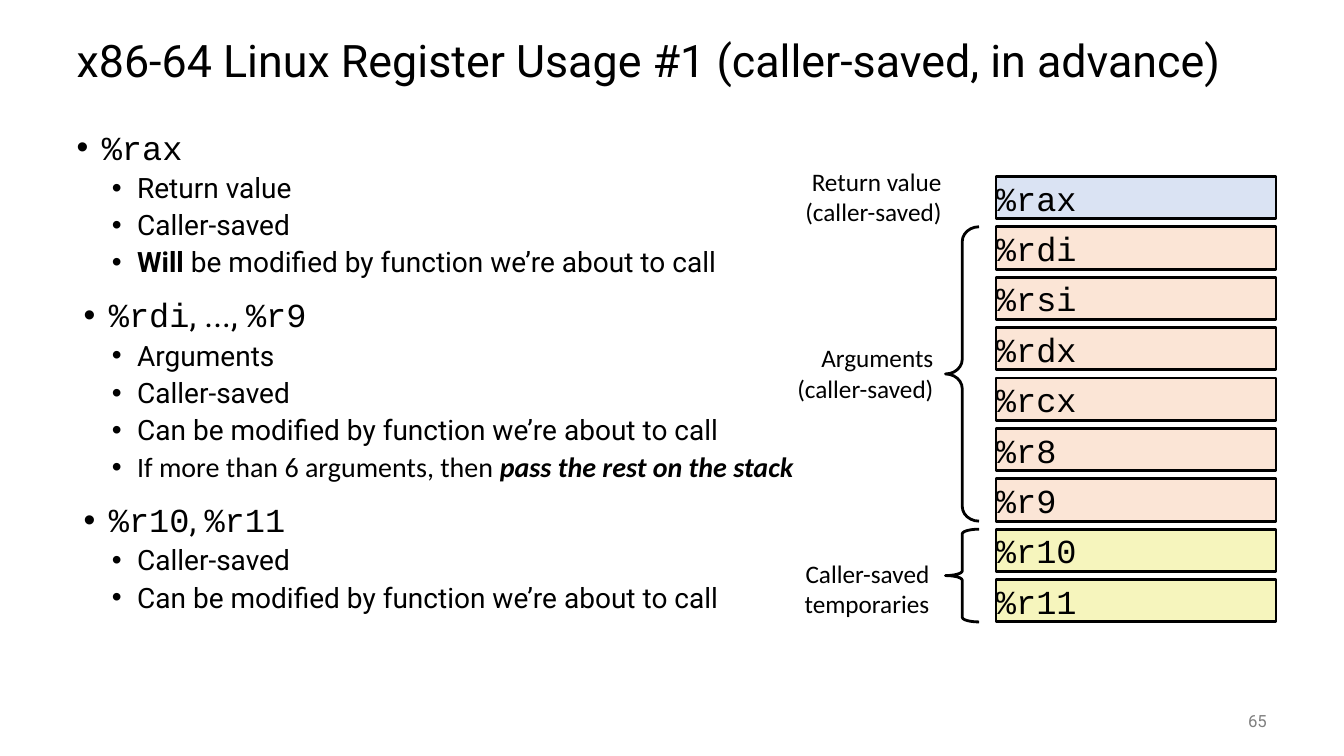
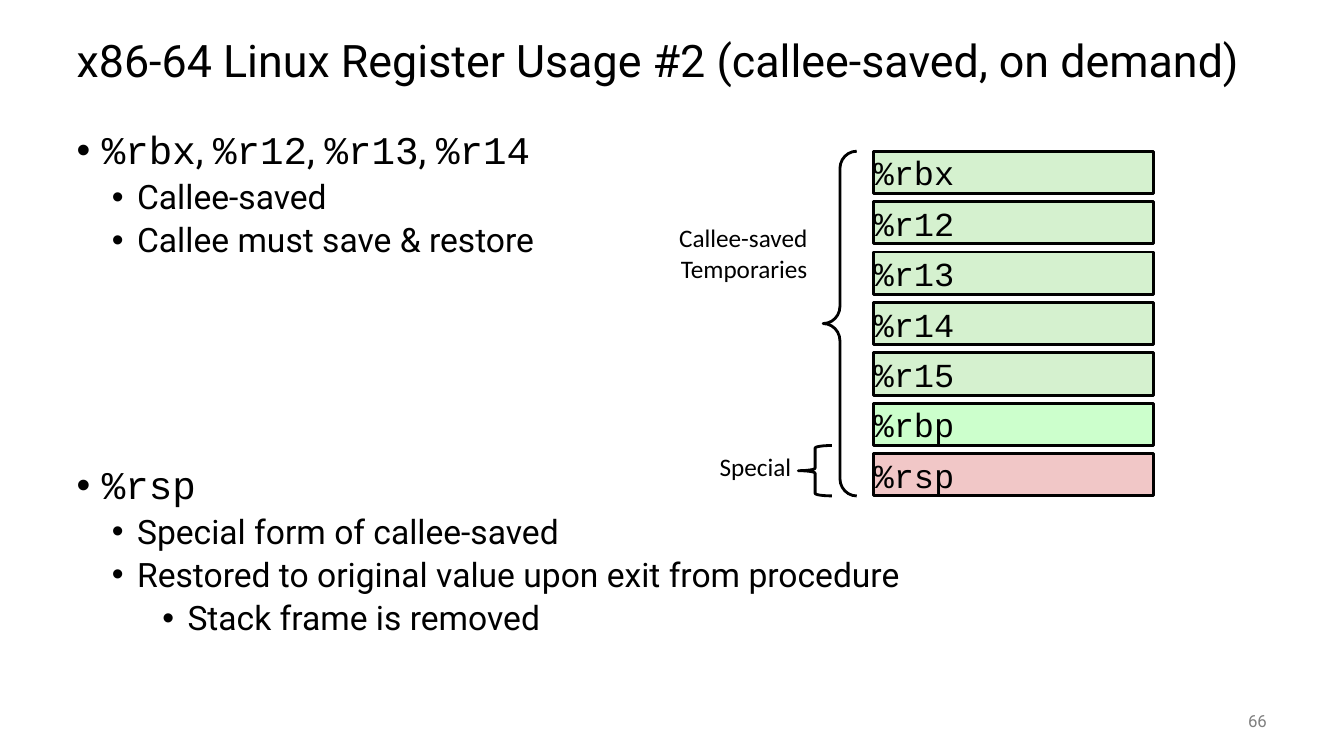
import pptx
import pptx.util
import pptx.dml.color
import pptx.enum.shapes
import pptx.enum.text
import pptx.oxml.ns
import lxml.etree

COLORS = {
    "ink": "000000",
    "number": "808080",
    "return": "DAE3F3",
    "argument": "FBE5D6",
    "temporary": "F6F5BD",
    "callee": "D5F1CF",
    "frame": "CCFFCC",
    "special": "F1C7C7",
}
TEXT, CODE, LABEL = "Roboto", "Courier New", "Calibri"
COLUMNS, ROWS = 40, 15
BOX_COLS, BOX_ROWS = 8.34, 0.84
GAP = 1 - BOX_ROWS
MARGINS = (0.25, 0.6, 1.1)
ALIGN = pptx.enum.text.PP_ALIGN
ANCHOR = pptx.enum.text.MSO_ANCHOR
SHAPE = pptx.enum.shapes.MSO_SHAPE


class Deck:
    def __init__(self):
        self.prs = pptx.Presentation()
        self.prs.slide_width = pptx.util.Inches(13.33)
        self.prs.slide_height = pptx.util.Inches(7.5)
        self.slide = None

    def area(self, col, row, cols, rows):
        x = self.prs.slide_width / COLUMNS
        y = self.prs.slide_height / ROWS
        return [round(v) for v in (col * x, row * y, cols * x, rows * y)]

    def color(self, name):
        return pptx.dml.color.RGBColor.from_string(COLORS[name])

    def place(self, sp, *area):
        sp.left, sp.top, sp.width, sp.height = self.area(*area)
        return sp.text_frame

    def frame(self, tf, inset, anchor=ANCHOR.TOP):
        tf.margin_left = tf.margin_right = pptx.util.Inches(inset)
        tf.margin_top = tf.margin_bottom = pptx.util.Inches(inset)
        tf.word_wrap = True
        tf.vertical_anchor = anchor

    def run(self, p, text, font, size, color="ink", bold=False, italic=False):
        r = p.add_run()
        r.text = text
        r.font.name = font
        r.font.size = pptx.util.Pt(size)
        r.font.bold = bold
        r.font.italic = italic
        r.font.color.rgb = self.color(color)

    def start(self, title, number):
        self.slide = self.prs.slides.add_slide(self.prs.slide_layouts[1])
        tf = self.place(self.slide.shapes.title, 1.98, 0.5, 36, 1.5)
        tf.vertical_anchor = ANCHOR.MIDDLE
        p = tf.paragraphs[0]
        p.alignment = ALIGN.LEFT
        p.line_spacing = 0.9
        self.run(p, title, TEXT, 32)
        tf = self.slide.shapes.add_textbox(*self.area(35, 13.9, 3, 0.8)).text_frame
        tf.vertical_anchor = ANCHOR.MIDDLE
        tf.word_wrap = True
        p = tf.paragraphs[0]
        p.alignment = ALIGN.RIGHT
        self.run(p, str(number), TEXT, 12, "number")

    def bullets(self, size, items):
        tf = self.place(self.slide.placeholders[1], 1.98, 2.5, 36, 11)
        tf.auto_size = pptx.enum.text.MSO_AUTO_SIZE.NONE
        for i, (level, runs, changes) in enumerate(items):
            p = tf.paragraphs[0] if i == 0 else tf.add_paragraph()
            p.level = level
            margin = changes.get("margin", MARGINS[level])
            pPr = p._p.get_or_add_pPr()
            pPr.set("marL", str(pptx.util.Inches(margin)))
            pPr.set("indent", str(pptx.util.Inches(-0.25)))
            for tag, key, value in (("a:buFont", "typeface", "Arial"), ("a:buChar", "char", "•")):
                lxml.etree.SubElement(pPr, pptx.oxml.ns.qn(tag)).set(key, value)
            p.line_spacing = 0.9
            before = changes.get("before", 5 if level else 14)
            p.space_before = pptx.util.Pt(before if i else 0)
            for text, style in runs:
                font = CODE if text.startswith("%") else TEXT
                self.run(p, text, **{"font": font, "size": size if level == 0 else size - 4, **style})

    def registers(self, col, row, groups):
        names = [(name, color) for color, group in groups for name in group.split()]
        for i, (name, color) in enumerate(names):
            sp = self.slide.shapes.add_shape(
                SHAPE.RECTANGLE, *self.area(col, row + i, BOX_COLS, BOX_ROWS))
            sp.shadow.inherit = False
            sp.fill.solid()
            sp.fill.fore_color.rgb = self.color(color)
            sp.line.color.rgb = self.color("ink")
            sp.line.width = pptx.util.Pt(2)
            self.frame(sp.text_frame, 0, ANCHOR.MIDDLE)
            p = sp.text_frame.paragraphs[0]
            p.alignment = ALIGN.LEFT
            self.run(p, name, CODE, 24)

    def brace(self, col, row, rows):
        sp = self.slide.shapes.add_shape(SHAPE.LEFT_BRACE, *self.area(col, row, 1, rows))
        sp.shadow.inherit = False
        sp.fill.background()
        sp.line.color.rgb = self.color("ink")
        sp.line.width = pptx.util.Pt(2)
        sp.adjustments[0] = 0.05 * sp.height / min(sp.width, sp.height)

    def label(self, right, row, *lines):
        area = self.area(right - 4.5, row, 4.5, 0.18 + 0.6 * len(lines))
        tf = self.slide.shapes.add_textbox(*area).text_frame
        self.frame(tf, 0.04)
        for i, line in enumerate(lines):
            p = tf.paragraphs[0] if i == 0 else tf.add_paragraph()
            p.alignment = ALIGN.RIGHT
            self.run(p, line, LABEL, 18)


def item(level, *runs, **changes):
    return level, [(r, {}) if isinstance(r, str) else r for r in runs], changes


def caller_saved(deck):
    deck.start("x86-64 Linux Register Usage #1 (caller-saved, in advance)", 65)
    modified = item(1, "Can be modified by function we’re about to call")
    saved = item(1, "Caller-saved")
    deck.bullets(24, [
        item(0, "%rax"),
        item(1, "Return value"),
        saved,
        item(1, ("Will", {"bold": True}), " be modified by function we’re about to call"),
        item(0, "%rdi", ", ..., ", "%r9", margin=0.32),
        item(1, "Arguments"),
        saved,
        modified,
        item(1, ("If more than 6 arguments, then ", {"font": LABEL}),
             ("pass the rest on the stack", {"font": LABEL, "bold": True, "italic": True})),
        item(0, "%r10", ", ", "%r11", margin=0.32),
        saved,
        modified,
    ])
    col, row = 29.64, 3.5
    deck.registers(col, row, [
        ("return", "%rax"),
        ("argument", "%rdi %rsi %rdx %rcx %r8 %r9"),
        ("temporary", "%r10 %r11"),
    ])
    deck.brace(col - 1.5, row + 1, 6 - GAP)
    deck.brace(col - 1.5, row + 7, 2 - GAP)
    deck.label(28.14, 3.22, "Return value", "(caller-saved)")
    deck.label(27.9, 6.72, "Arguments", "(caller-saved)")
    deck.label(27.78, 11, "Caller-saved", "temporaries")


def callee_saved(deck):
    deck.start("x86-64 Linux Register Usage #2 (callee-saved, on demand)", 66)
    deck.bullets(28, [
        item(0, "%rbx", ", ", "%r12", ", ", "%r13", ", ", "%r14"),
        item(1, "Callee-saved"),
        item(1, "Callee must save & restore"),
        item(0, "%rsp", before=147),
        item(1, "Special form of callee-saved"),
        item(1, "Restored to original value upon exit from procedure"),
        item(2, "Stack frame is removed"),
    ])
    col, row = 26, 3
    deck.registers(col, row, [
        ("callee", "%rbx %r12 %r13 %r14 %r15"),
        ("frame", "%rbp"),
        ("special", "%rsp"),
    ])
    deck.brace(col - 1.5, row, 7 - GAP)
    deck.brace(col - 2.24, row + 6 - GAP, 1)
    deck.label(24.15, 4.34, "Callee-saved", "Temporaries")
    deck.label(23.67, 8.88, "Special")


def main():
    deck = Deck()
    caller_saved(deck)
    callee_saved(deck)
    deck.prs.save("out.pptx")


if __name__ == "__main__":
    main()
